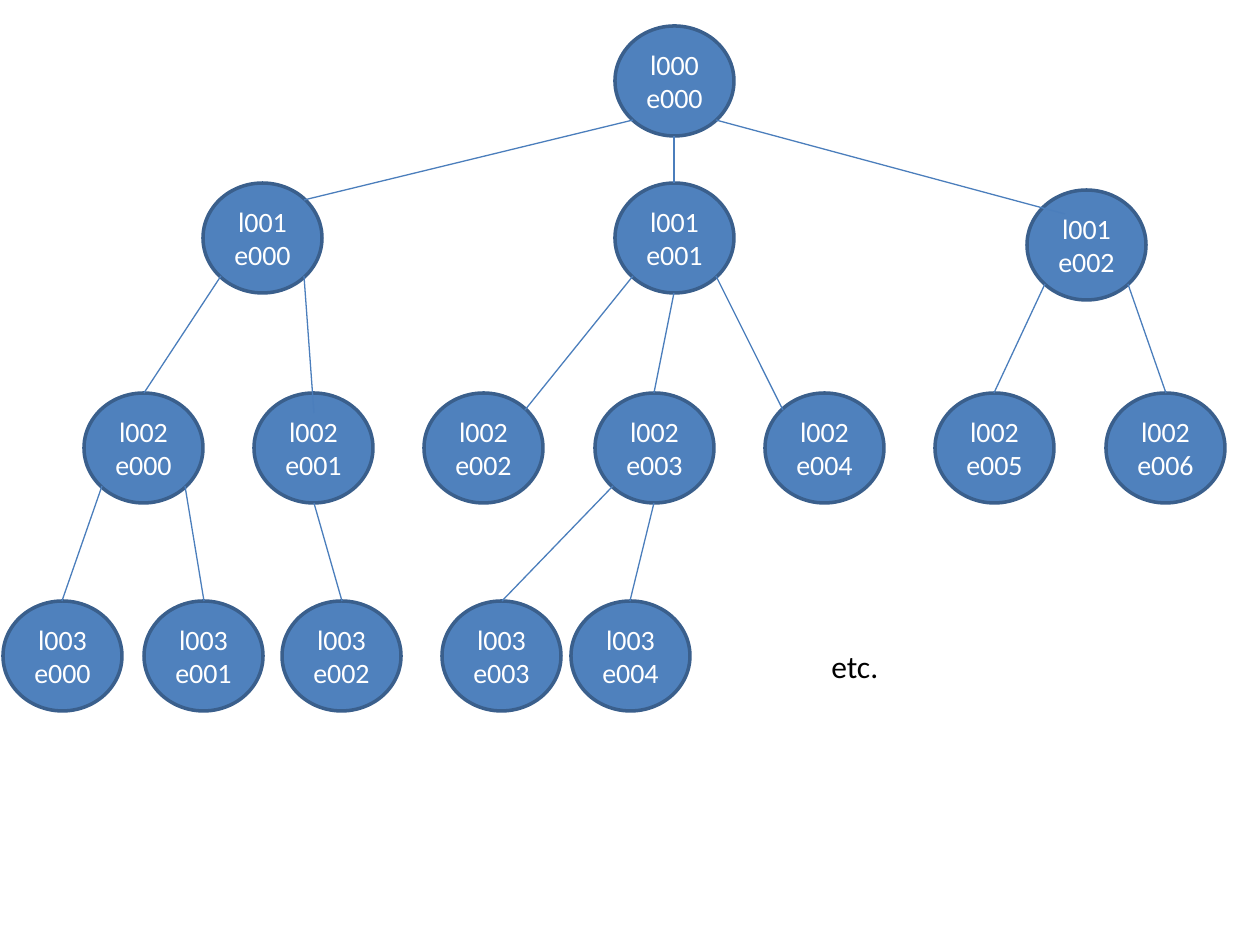
"""Build a four-level tree of labelled nodes."""
from lxml import etree
from pptx import Presentation
from pptx.dml.color import RGBColor
from pptx.enum import shapes, text
from pptx.oxml import ns
from pptx.util import Pt

PIXEL = 914400 // 126
BLUE = RGBColor(0x4F, 0x81, 0xBD)
DARK_BLUE = RGBColor(0x3A, 0x5F, 0x8C)
LINK_BLUE = RGBColor(0x4B, 0x7E, 0xBC)
WHITE = RGBColor(0xFF, 0xFF, 0xFF)
BLACK = RGBColor(0, 0, 0)

NODE_WIDTH, NODE_HEIGHT = 119, 110
LEVELS = [
    [(615, 26)],
    [(203, 183), (615, 183), (1027, 190)],
    [(84 + column * 1022 // 6, 393) for column in range(7)],
    [(left, 601) for left in (3, 144, 282, 442, 571)],
]
SITES = {
    "top": (0.5, 0),
    "bottom": (0.5, 1),
    "top left": (0.15, 0.15),
    "top right": (0.85, 0.15),
    "bottom left": (0.15, 0.85),
    "bottom right": (0.85, 0.85),
    "inside top": (0.5, 0.18),
    "inside left": (0.32, 0.22),
}
LINKS = [
    (0, 0, "bottom left", 0, "top right"),
    (0, 0, "bottom", 1, "top"),
    (0, 0, "bottom right", 2, "inside left"),
    (1, 0, "bottom left", 0, "top"),
    (1, 0, "bottom right", 1, "inside top"),
    (1, 1, "bottom left", 2, "top right"),
    (1, 1, "bottom", 3, "top"),
    (1, 1, "bottom right", 4, "top left"),
    (1, 2, "bottom left", 5, "top"),
    (1, 2, "bottom right", 6, "top"),
    (2, 0, "bottom left", 0, "top"),
    (2, 0, "bottom right", 1, "top"),
    (2, 1, "bottom", 2, "top"),
    (2, 3, "bottom left", 3, "top"),
    (2, 3, "bottom", 4, "top"),
]


def site_point(level, entry, site):
    left, top = LEVELS[level][entry]
    across, down = SITES[site]
    return [round(left + across * NODE_WIDTH) * PIXEL, round(top + down * NODE_HEIGHT) * PIXEL]


def style_font(font, size, color):
    for name, value in {"name": "Calibri", "size": Pt(size)}.items():
        setattr(font, name, value)
    font.color.rgb = color


deck = Presentation()
deck.slide_width, deck.slide_height = 1260 * PIXEL, 945 * PIXEL
page = deck.slides.add_slide(deck.slide_layouts[6])

for level, nodes in enumerate(LEVELS):
    for entry, (left, top) in enumerate(nodes):
        node = page.shapes.add_shape(
            shapes.MSO_SHAPE.OVAL,
            *(length * PIXEL for length in (left, top, NODE_WIDTH, NODE_HEIGHT)))
        node.shadow.inherit = False
        node.fill.solid()
        node.fill.fore_color.rgb = BLUE
        node.line.color.rgb = DARK_BLUE
        node.line.width = Pt(2)
        frame_format = {"margin_left": 0, "margin_right": 0, "word_wrap": True,
                        "vertical_anchor": text.MSO_ANCHOR.MIDDLE}
        for name, value in frame_format.items():
            setattr(node.text_frame, name, value)
        para = node.text_frame.paragraphs[0]
        para.alignment = text.PP_ALIGN.CENTER
        para.text = f"l{level:03}\ve{entry:03}"
        for span in para.runs:
            style_font(span.font, 16, WHITE)

for level, parent, start, child, end in LINKS:
    link = page.shapes.add_connector(
        shapes.MSO_CONNECTOR.STRAIGHT,
        *site_point(level, parent, start), *site_point(level + 1, child, end))
    link.line.color.rgb = LINK_BLUE
    link.line.width = Pt(0.75)
    etree.SubElement(link._element.spPr, ns.qn("a:effectLst"))

box = page.shapes.add_textbox(*(length * PIXEL for length in (819, 641, 226, 51)))
box.text_frame.word_wrap = True
box.text_frame.auto_size = text.MSO_AUTO_SIZE.SHAPE_TO_FIT_TEXT
span = box.text_frame.paragraphs[0].add_run()
span.text = "etc."
style_font(span.font, 18, BLACK)

deck.save("out.pptx")
